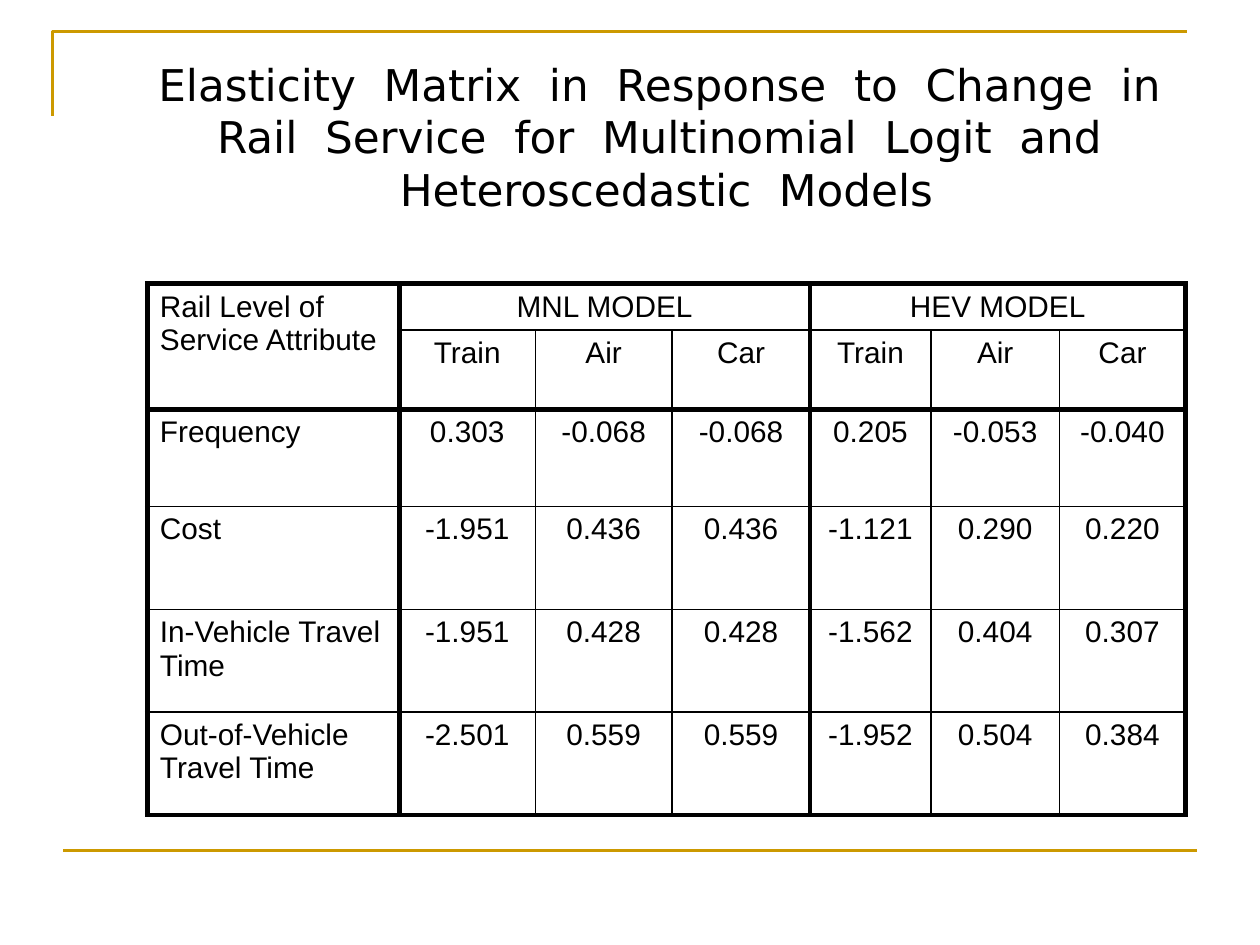
from lxml.etree import SubElement
from pptx import Presentation
from pptx.dml.color import RGBColor
from pptx.enum.shapes import MSO_CONNECTOR
from pptx.enum.text import MSO_ANCHOR, MSO_AUTO_SIZE, PP_ALIGN
from pptx.oxml import parse_xml
from pptx.oxml.ns import nsdecls, qn
from pptx.util import Cm, Pt

TITLE = ("Elasticity  Matrix  in  Response  to  Change  in  Rail  Service  for  "
         "Multinomial  Logit  and  Heteroscedastic  Models")
MODES = ["Train", "Air", "Car"]
ROWS = [
    ["Rail Level of Service Attribute", "MNL MODEL", "", "", "HEV MODEL", "", ""],
    ["", *MODES, *MODES],
    ["Frequency", "0.303", "-0.068", "-0.068", "0.205", "-0.053", "-0.040"],
    ["Cost", "-1.951", "0.436", "0.436", "-1.121", "0.290", "0.220"],
    ["In-Vehicle Travel Time", "-1.951", "0.428", "0.428", "-1.562", "0.404", "0.307"],
    ["Out-of-Vehicle Travel Time", "-2.501", "0.559", "0.559", "-1.952", "0.504", "0.384"],
]
COL_WIDTHS = [5.08, 2.74, 2.76, 2.78, 2.44, 2.59, 2.54]
ROW_HEIGHTS = [0.86, 0.86, 1.96, 2.08, 2.06, 2.08]
MERGES = [((0, 0), (1, 0)), ((0, 1), (0, 3)), ((0, 4), (0, 6))]
THICK_COLS = {0, 1, 4, 7}
THICK_ROWS = {0, 2, 6}


def rgb(value):
    return RGBColor.from_string(value)


class SlideBuilder:
    ACCENT = "CC9900"
    INK = "000000"
    TITLE_FONT = {"name": "DejaVu Sans", "size": Pt(25), "bold": False}
    CELL_FONT = {"name": "Arial", "size": Pt(17), "bold": False}

    def __init__(self, prs):
        self.s = prs.slides.add_slide(prs.slide_layouts[5])

    def text(self, tf, text, font, align):
        p = tf.paragraphs[0]
        p.alignment = align
        r = p.add_run()
        r.text = text
        for name, value in font.items():
            setattr(r.font, name, value)
        r.font.color.rgb = rgb(self.INK)

    def rule(self, line):
        line.color.rgb = rgb(self.ACCENT)
        line.width = Pt(1.5)

    def corner(self, x, y, width, height):
        """Draw an open corner: up the left side, then along the top."""
        fb = self.s.shapes.build_freeform(Cm(x), Cm(y + height))
        fb.add_line_segments([(Cm(x), Cm(y)), (Cm(x + width), Cm(y))], close=False)
        sp = fb.convert_to_shape()
        sp.fill.background()
        sp.shadow.inherit = False
        self.rule(sp.line)

    def line(self, x1, y1, x2, y2):
        sp = self.s.shapes.add_connector(
            MSO_CONNECTOR.STRAIGHT, Cm(x1), Cm(y1), Cm(x2), Cm(y2))
        self.rule(sp.line)
        SubElement(sp._element.spPr, qn("a:effectLst"))

    def title(self, text, x, y, width, height):
        sp = self.s.shapes.title
        sp.left, sp.top, sp.width, sp.height = Cm(x), Cm(y), Cm(width), Cm(height)
        tf = sp.text_frame
        frame = {"word_wrap": True, "auto_size": MSO_AUTO_SIZE.NONE,
                 "vertical_anchor": MSO_ANCHOR.BOTTOM}
        for name, value in frame.items():
            setattr(tf, name, value)
        self.text(tf, text, self.TITLE_FONT, PP_ALIGN.CENTER)

    def borders(self, cell, row, col):
        """Thick lines frame the table and its blocks; thin lines divide the rest."""
        bottom, right = row + 1, col + 1
        if cell.is_merge_origin:
            bottom, right = row + cell.span_height, col + cell.span_width
        edges = {"lnL": col in THICK_COLS, "lnR": right in THICK_COLS,
                 "lnT": row in THICK_ROWS, "lnB": bottom in THICK_ROWS}
        tc_pr = cell._tc.get_or_add_tcPr()
        for i, (tag, thick) in enumerate(edges.items()):
            tc_pr.insert(i, parse_xml(
                f'<a:{tag} {nsdecls("a")} w="{Pt(3 if thick else 1)}"><a:solidFill>'
                f'<a:srgbClr val="{self.INK}"/></a:solidFill></a:{tag}>'))

    def table(self, rows, x, y):
        table = self.s.shapes.add_table(
            len(rows), len(rows[0]), Cm(x), Cm(y),
            Cm(sum(COL_WIDTHS)), Cm(sum(ROW_HEIGHTS))).table
        table.first_row = table.horz_banding = False
        for column, width in zip(table.columns, COL_WIDTHS):
            column.width = Cm(width)
        for row, height in zip(table.rows, ROW_HEIGHTS):
            row.height = Cm(height)
        for first, last in MERGES:
            table.cell(*first).merge(table.cell(*last))
        for i, texts in enumerate(rows):
            for j, text in enumerate(texts):
                cell = table.cell(i, j)
                cell.fill.background()
                if cell.is_spanned:
                    continue
                align = PP_ALIGN.CENTER if j else PP_ALIGN.LEFT
                self.text(cell.text_frame, text, self.CELL_FONT, align)
                self.borders(cell, i, j)


def main():
    prs = Presentation()
    prs.slide_width, prs.slide_height = Cm(25.4), Cm(19.05)
    slide = SlideBuilder(prs)
    slide.corner(1.06, 0.64, 22.86, 1.69)
    slide.line(1.27, 17.15, 24.13, 17.15)
    slide.title(TITLE, 2.54, 2.33, 21.79, 2.13)
    slide.table(ROWS, 2.97, 5.72)
    prs.save("out.pptx")


if __name__ == "__main__":
    main()
